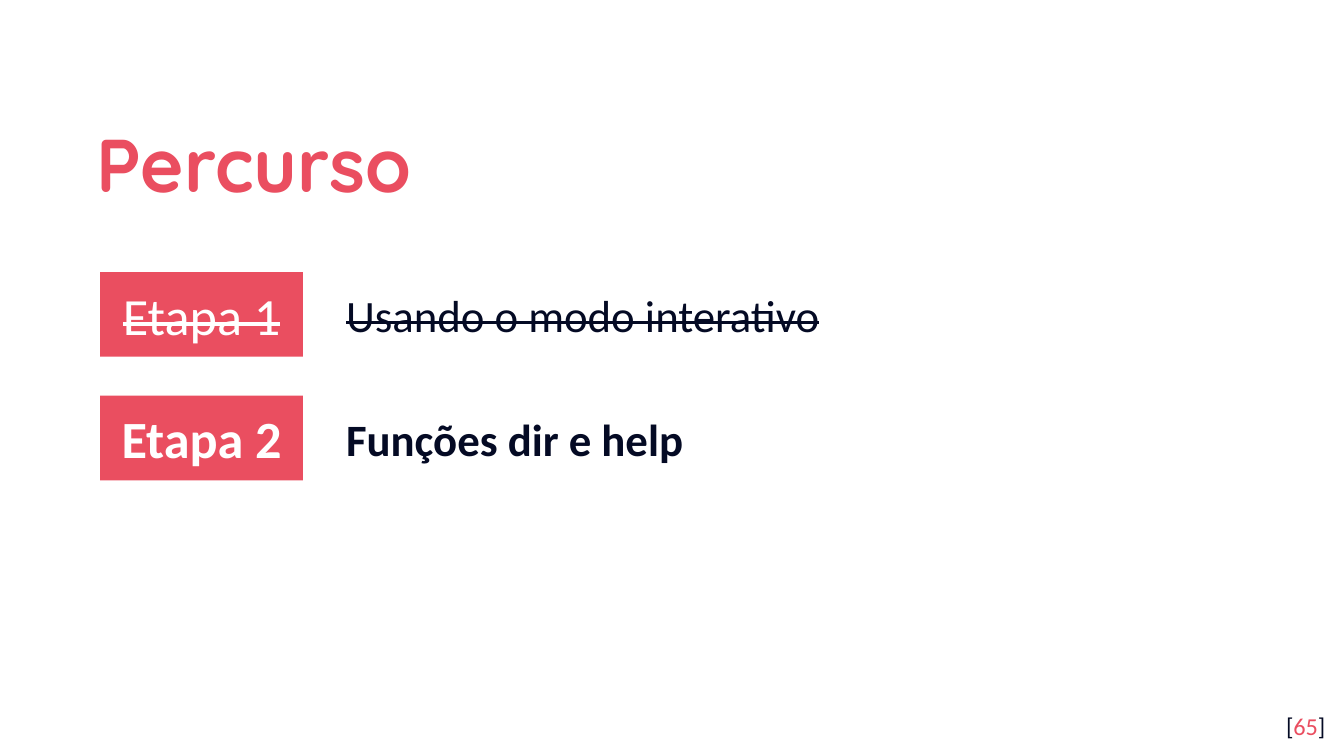
from pptx import Presentation
from pptx.dml.color import RGBColor
from pptx.enum.shapes import MSO_SHAPE
from pptx.enum.text import MSO_ANCHOR, MSO_AUTO_SIZE, PP_ALIGN
from pptx.oxml.xmlchemy import OxmlElement
from pptx.util import Emu, Pt

PX = 4572  # EMU per px, 200 px to the inch
CORAL = RGBColor(0xEA, 0x4E, 0x60)
NAVY = RGBColor(0x04, 0x0A, 0x24)
WHITE = RGBColor(0xFF, 0xFF, 0xFF)


class Deck:
    """Holds the style and the current slide."""

    head_font = "Quicksand"
    body_font = "Calibri"

    def __init__(self, wide, high):
        self.prs = Presentation()
        self.prs.slide_width = Emu(wide * PX)
        self.prs.slide_height = Emu(high * PX)
        # Two Content layout: one title and two bodies
        self.slide = self.prs.slides.add_slide(self.prs.slide_layouts[3])

    def place(self, shape, box):
        shape.left, shape.top, shape.width, shape.height = (Emu(n * PX) for n in box)

    def frame(self, shape, anchor, pad, align):
        text = shape.text_frame
        text.word_wrap = True
        text.auto_size = MSO_AUTO_SIZE.NONE
        text.vertical_anchor = anchor
        text.margin_left = text.margin_right = Emu(20 * PX)
        text.margin_top = text.margin_bottom = Emu(pad * PX)
        para = text.paragraphs[0]
        para.alignment = align
        para.space_before = Pt(0)
        return para

    def run(self, para, words, size, color, font=None, bold=False, strike=False):
        run = para.add_run()
        run.text = words
        run.font.name = font or self.body_font
        run.font.size = Pt(size)
        run.font.bold = bold
        run.font.color.rgb = color
        if strike:
            run.font._element.set("strike", "sngStrike")

    def title(self, words, box):
        shape = self.slide.shapes.title
        self.place(shape, box)
        para = self.frame(shape, MSO_ANCHOR.MIDDLE, 20, PP_ALIGN.LEFT)
        para.line_spacing = 1.15
        self.run(para, words, 40, CORAL, self.head_font, bold=True)

    def label(self, words, box, **look):
        shape = self.slide.shapes.add_shape(MSO_SHAPE.RECTANGLE, 0, 0, 0, 0)
        self.place(shape, box)
        shape.shadow.inherit = False
        shape.fill.solid()
        shape.fill.fore_color.rgb = CORAL
        shape.line.fill.background()
        para = self.frame(shape, MSO_ANCHOR.MIDDLE, 20, PP_ALIGN.CENTER)
        self.run(para, words, 28, WHITE, **look)

    def body(self, index, words, box, **look):
        shape = self.slide.placeholders[index]
        self.place(shape, box)
        para = self.frame(shape, MSO_ANCHOR.TOP, 10, PP_ALIGN.LEFT)
        # Hanging indent without a bullet
        props = para._p.get_or_add_pPr()
        props.set("marL", str(100 * PX))
        props.set("indent", str(-100 * PX))
        props.append(OxmlElement("a:buNone"))
        self.run(para, words, 24, NAVY, **look)

    def number(self, words, box):
        shape = self.slide.shapes.add_textbox(0, 0, 0, 0)
        self.place(shape, box)
        para = self.frame(shape, MSO_ANCHOR.TOP, 20, PP_ALIGN.RIGHT)
        for part, color in (("[", NAVY), (words, CORAL), ("]", NAVY)):
            self.run(para, part, 13, color)


def main():
    deck = Deck(2000, 1125)
    deck.title("Percurso", (124, 140, 1620, 184))

    # Steps: the finished one struck out, the current one bold
    steps = (
        ("Usando o modo interativo", {"strike": True}),
        ("Funções dir e help", {"bold": True}),
    )
    for step, (words, look) in enumerate(steps, 1):
        top = 405 + 184 * (step - 1)
        deck.label(f"Etapa {step}", (149, top, 302, 126), **look)
        deck.body(step, words, (495, top + 13, 1350, 100), **look)

    # Page number
    deck.number("65", (1872, 1039, 120, 86))
    deck.prs.save("out.pptx")


if __name__ == "__main__":
    main()
